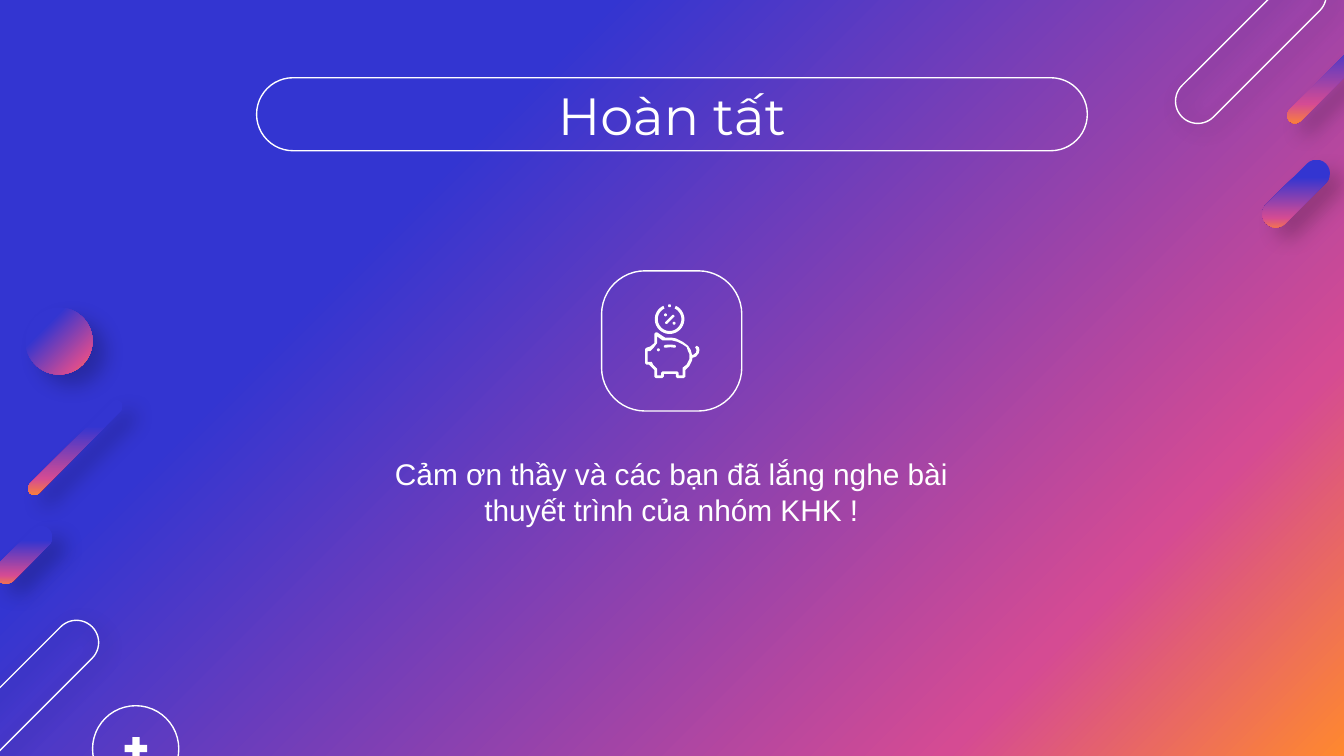
"""Build the closing thank-you slide with gradient capsules and a savings icon."""
from dataclasses import dataclass
from math import cos, radians, sin
from typing import NamedTuple, Optional

from lxml.etree import SubElement
from pptx import Presentation
from pptx.dml.color import RGBColor
from pptx.enum.shapes import MSO_SHAPE as Preset
from pptx.enum.text import MSO_ANCHOR as Anchor, PP_ALIGN as Align
from pptx.oxml.ns import qn
from pptx.util import Cm, Pt


@dataclass(frozen=True)
class Theme:
    white: str = "FFFFFF"
    shadow: str = "000000"
    gradient: tuple = ((0, "3335D1"), (29, "3335D1"), (81, "D54B93"), (100, "FF882F"))
    gradient_angle: int = 315
    line_width: float = 0.75
    title_font: str = "Montserrat"
    title_size: int = 28
    body_font: str = "Arial"
    body_size: int = 16


class Shadow(NamedTuple):
    opacity: int
    blur: float
    distance: float
    angle: int = 40


class Box(NamedTuple):
    left: float
    top: float
    width: float
    height: float


class Figure(NamedTuple):
    box: Box
    paint: str = "outline"
    preset: Preset = Preset.ROUNDED_RECTANGLE
    adjustment: Optional[float] = 0.5
    rotation: int = 0
    shadow: Optional[Shadow] = None


class Caption(NamedTuple):
    text: str
    box: Box
    font: str
    size: int


THEME = Theme()
FAINT = Shadow(40, 11.2, 3.8)
DEEP = Shadow(22, 11.2, 9)


def outline_capsule(left: float, top: float) -> Figure:
    """Describe a tilted outlined capsule."""
    return Figure(Box(left, top, 0.84, 3.68), rotation=45, shadow=FAINT)


def gradient_capsule(left: float, top: float, width: float, height: float) -> Figure:
    """Describe a tilted gradient capsule."""
    return Figure(Box(left, top, width, height), "gradient", rotation=45, shadow=DEEP)


FIGURES = (
    outline_capsule(0.02, 11.31),
    gradient_capsule(0.23, 9.8, 0.43, 1.37),
    gradient_capsule(1.3, 7.24, 0.25, 2.44),
    Figure(Box(1.75, 13.34, 1.63, 1.63), preset=Preset.OVAL, adjustment=None),
    Figure(Box(2.28, 13.86, 0.58, 0.58), "solid", Preset.MATH_PLUS, 0.235),
    Figure(Box(0.48, 5.81, 1.27, 1.27), "gradient", Preset.OVAL, None, shadow=DEEP),
    outline_capsule(23.22, -0.93),
    gradient_capsule(24.24, 2.86, 0.51, 1.6),
    gradient_capsule(25.23, -0.16, 0.3, 2.87),
    Figure(Box(4.85, 1.47, 15.7, 1.38)),
    Figure(Box(11.37, 5.12, 2.65, 2.65), adjustment=0.31),
)

CAPTIONS = (
    Caption("Hoàn tất", Box(1.98, 1.54, 21.44, 1.27), THEME.title_font, THEME.title_size),
    Caption("Cảm ơn thầy và các bạn đã lắng nghe bài thuyết trình của nhóm KHK !",
            Box(6.39, 8.15, 12.6, 2.29), THEME.body_font, THEME.body_size),
)

ICON_LEFT, ICON_TOP, ICON_UNIT = Cm(12.19), Cm(5.75), Cm(0.0254)
PIG_BODY = (
    (9, 24), (13, 27), (20, 27), (24, 28), (28, 30), (31, 32), (32, 35), (33, 37),
    (33, 41), (31, 45), (28, 47.3), (28, 53), (25, 53), (25, 51), (24, 50), (20, 50),
    (17, 50), (13, 50), (12, 51), (12, 53), (9, 53), (9, 48), (6, 45), (5, 43),
    (2, 43), (2, 35), (4, 35), (6, 33), (9, 29))
PIG_EDGE = (
    (8, 21), (7, 22), (7, 29), (4, 31.5), (1, 32.5), (0, 33.5), (0, 44), (1, 45),
    (3, 45), (5, 47), (7, 49), (7, 54), (8, 55), (13, 55), (14, 54), (14, 52),
    (23, 52), (23, 54), (24, 55), (29, 55), (30, 54), (30, 49), (33, 46), (35, 42),
    (35.3, 40), (38, 39), (40, 36.5), (40.5, 34), (40, 32), (38.5, 31), (37.3, 32),
    (38.3, 34), (38, 36), (36.5, 37.3), (35, 38), (34, 34), (32, 31), (28, 28),
    (23, 25.5), (20, 25), (15, 25), (9, 21))
COIN_SLOT = (
    (18, 30), (15, 30.3), (14, 31), (14, 32), (15, 32.4), (19, 32), (22, 32.4),
    (23, 32), (23, 31), (22, 30.3))
PERCENT_BAR = ((15, 13.5), (20.5, 8), (21.5, 8), (22, 9), (16.5, 14.7), (15.3, 14.7))
DOT_CENTERS = ((10, 34), (18.3, 1.2), (15.3, 8), (21.7, 14.2))


def arc(center: tuple, radius: float, start: int, end: int, step: int) -> list:
    """Return points along a circular arc."""
    return [(center[0] + radius * cos(radians(angle)), center[1] + radius * sin(radians(angle)))
            for angle in range(start, end, step)]


def apply_gradient(fill, element) -> None:
    """Fill with the theme gradient."""
    fill.gradient()
    fill.gradient_angle = THEME.gradient_angle
    stops = next(element.iter(qn("a:gsLst")))
    for stop in list(stops):
        stops.remove(stop)
    for position, color in THEME.gradient:
        stop = SubElement(stops, qn("a:gs"), pos=str(position * 1000))
        SubElement(stop, qn("a:srgbClr"), val=color)


def apply_solid(shape) -> None:
    """Fill with plain white and no line."""
    shape.fill.solid()
    shape.fill.fore_color.rgb = RGBColor.from_string(THEME.white)
    shape.line.fill.background()


def apply_shadow(shape, shadow: Shadow) -> None:
    """Add an outer shadow to a shape."""
    effects = next(shape.element.iter(qn("a:effectLst")))
    outer = SubElement(effects, qn("a:outerShdw"), blurRad=str(Pt(shadow.blur)),
                       dist=str(Pt(shadow.distance)), dir=str(shadow.angle * 60000),
                       algn="bl", rotWithShape="0")
    color = SubElement(outer, qn("a:srgbClr"), val=THEME.shadow)
    SubElement(color, qn("a:alpha"), val=str(shadow.opacity * 1000))


def draw_figure(slide, figure: Figure) -> None:
    """Draw one preset shape."""
    shape = slide.shapes.add_shape(figure.preset, *map(Cm, figure.box))
    shape.rotation = figure.rotation
    shape.shadow.inherit = False
    if figure.adjustment is not None:
        shape.adjustments[0] = figure.adjustment
    if figure.paint == "solid":
        apply_solid(shape)
    elif figure.paint == "gradient":
        apply_gradient(shape.fill, shape.element)
        shape.line.fill.background()
    else:
        shape.fill.background()
        shape.line.color.rgb = RGBColor.from_string(THEME.white)
        shape.line.width = Pt(THEME.line_width)
    if figure.shadow:
        apply_shadow(shape, figure.shadow)


def draw_outline(slide, *contours) -> None:
    """Draw one white icon part from closed contours."""
    fine = [[(x * 100, y * 100) for x, y in contour] for contour in contours]
    builder = slide.shapes.build_freeform(*fine[0][0], scale=ICON_UNIT / 100)
    builder.add_line_segments(fine[0][1:], close=True)
    for contour in fine[1:]:
        builder.move_to(*contour[0])
        builder.add_line_segments(contour[1:], close=True)
    shape = builder.convert_to_shape(ICON_LEFT, ICON_TOP)
    shape.shadow.inherit = False
    apply_solid(shape)


def draw_icon(slide) -> None:
    """Draw the piggy bank with its percent coin."""
    coin = (18.3, 11.2)
    ring = arc(coin, 11, -65, 246, 10) + arc(coin, 8.8, -65, 246, 10)[::-1]
    draw_outline(slide, PIG_BODY, PIG_EDGE)
    for part in (COIN_SLOT, ring, PERCENT_BAR):
        draw_outline(slide, part)
    for center in DOT_CENTERS:
        draw_outline(slide, arc(center, 1.1, 0, 360, 30))


def draw_caption(slide, caption: Caption) -> None:
    """Draw one centred text box."""
    frame = slide.shapes.add_textbox(*map(Cm, caption.box)).text_frame
    frame.word_wrap = True
    frame.vertical_anchor = Anchor.MIDDLE
    frame.margin_left = frame.margin_right = frame.margin_top = frame.margin_bottom = Cm(0.25)
    paragraph = frame.paragraphs[0]
    paragraph.alignment = Align.CENTER
    run = paragraph.add_run()
    run.text = caption.text
    run.font.name = caption.font
    run.font.size = Pt(caption.size)
    run.font.color.rgb = RGBColor.from_string(THEME.white)


def main() -> None:
    """Assemble and save the slide."""
    presentation = Presentation()
    presentation.slide_width, presentation.slide_height = Cm(25.4), Cm(14.29)
    slide = presentation.slides.add_slide(presentation.slide_layouts[6])
    apply_gradient(slide.background.fill, slide.element)
    for figure in FIGURES:
        draw_figure(slide, figure)
    for caption in CAPTIONS:
        draw_caption(slide, caption)
    draw_icon(slide)
    presentation.save("out.pptx")


if __name__ == "__main__":
    main()
